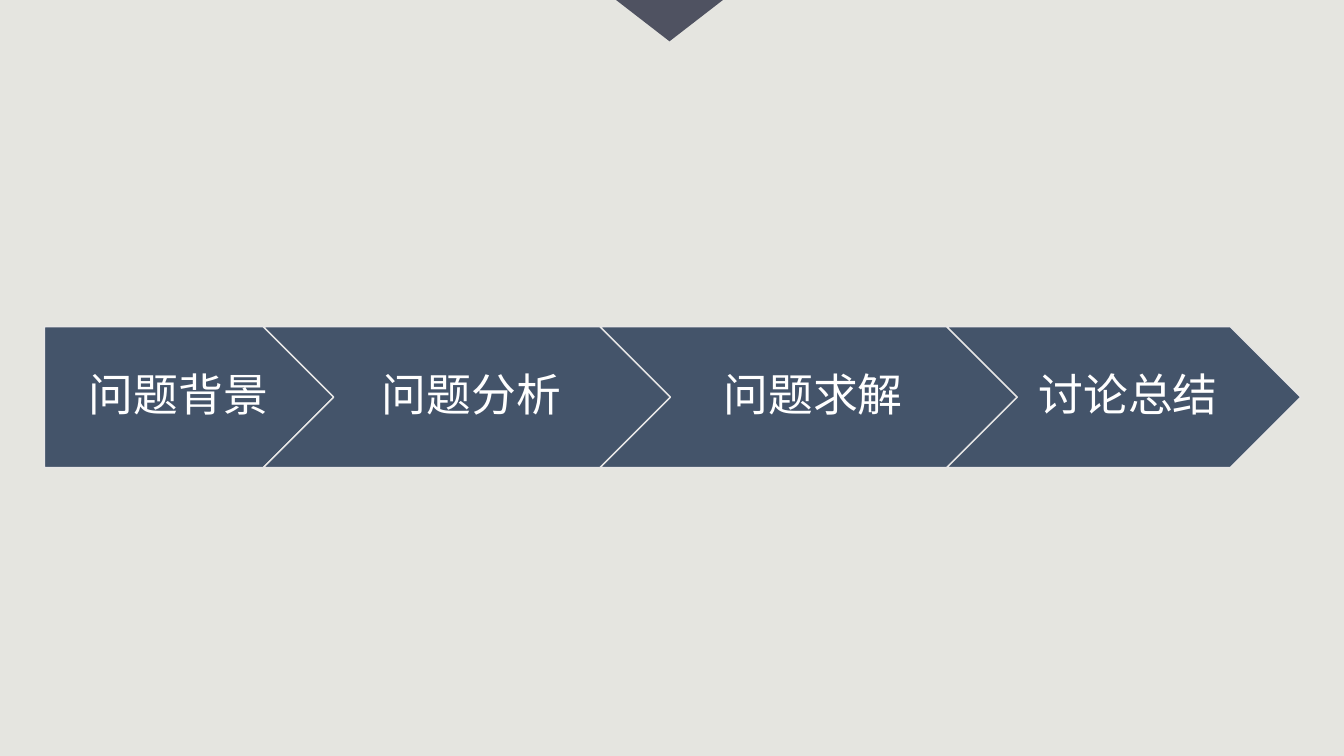
from typing import NamedTuple

from pptx import Presentation
from pptx.dml.color import RGBColor
from pptx.enum.shapes import MSO_SHAPE as Kind
from pptx.enum.text import MSO_ANCHOR as Anchor, PP_ALIGN as Align
from pptx.util import Inches, Pt

WIDE, HIGH = 13.33, 7.5
TOP, BAND = 3.24, 1.4
NOTCH = BAND / 2
START = 0.44
PAPER, SLATE, NAVY, EDGE, WHITE = "E5E5E0", "4F5261", "44546A", "E7E6E6", "FFFFFF"


class Box(NamedTuple):
    """A place on the slide, in inches."""
    left: float
    top: float
    width: float
    height: float


class Step(NamedTuple):
    """One arrow of the process."""
    label: str
    width: float


STEPS = [
    Step("问题背景", 2.87),
    Step("问题分析", 4.04),
    Step("问题求解", 4.14),
    Step("讨论总结", 3.51),
]


def tint(code: str) -> RGBColor:
    """Turn a hex string into a colour."""
    return RGBColor.from_string(code)


def add_form(slide, kind: Kind, box: Box, fill: str, edge: str = ""):
    """Draw a flat preset shape, with a thin edge if one is given."""
    form = slide.shapes.add_shape(kind, *map(Inches, box))
    form.shadow.inherit = False
    form.fill.solid()
    form.fill.fore_color.rgb = tint(fill)
    if edge:
        form.line.color.rgb = tint(edge)
        form.line.width = Pt(1)
    else:
        form.line.fill.background()
    return form


def add_text(slide, text: str, box: Box, *, size: float = 32, color: str = WHITE,
             font: str = "Arial", inset: float = 0.14) -> None:
    """Write a centred label in a box."""
    frame = slide.shapes.add_textbox(*map(Inches, box)).text_frame
    frame.word_wrap = True
    frame.vertical_anchor = Anchor.MIDDLE
    frame.margin_left, frame.margin_right = Inches(inset), Inches(0.05)
    frame.margin_top = frame.margin_bottom = Inches(0.09)
    para = frame.paragraphs[0]
    para.alignment = Align.CENTER
    para.line_spacing = 0.9
    para.space_after = Pt(0.35 * size)
    run = para.add_run()
    run.text = text
    run.font.name, run.font.size = font, Pt(size)
    run.font.color.rgb = tint(color)


def add_steps(slide, steps: list[Step]) -> None:
    """Chain the arrows so that each point fits the next notch."""
    left = START
    for rank, step in enumerate(steps):
        first = rank == 0
        kind = Kind.PENTAGON if first else Kind.CHEVRON
        add_form(slide, kind, Box(left, TOP, step.width, BAND), NAVY, EDGE)
        shift, trim = (0, NOTCH / 2) if first else (NOTCH, 2 * NOTCH)
        area = Box(left + shift, TOP, step.width - trim, BAND)
        add_text(slide, step.label, area, inset=0.19 if first else 0.14)
        left += step.width - NOTCH


def main() -> None:
    """Build and save the slide."""
    deck = Presentation()
    deck.slide_width, deck.slide_height = Inches(WIDE), Inches(HIGH)
    slide = deck.slides.add_slide(deck.slide_layouts[6])
    paper = slide.background.fill
    paper.solid()
    paper.fore_color.rgb = tint(PAPER)
    flag = add_form(slide, Kind.ISOSCELES_TRIANGLE, Box(6.11, 0, 1.06, 0.41), SLATE)
    flag.rotation = 180
    add_steps(slide, STEPS)
    deck.save("out.pptx")


main()
